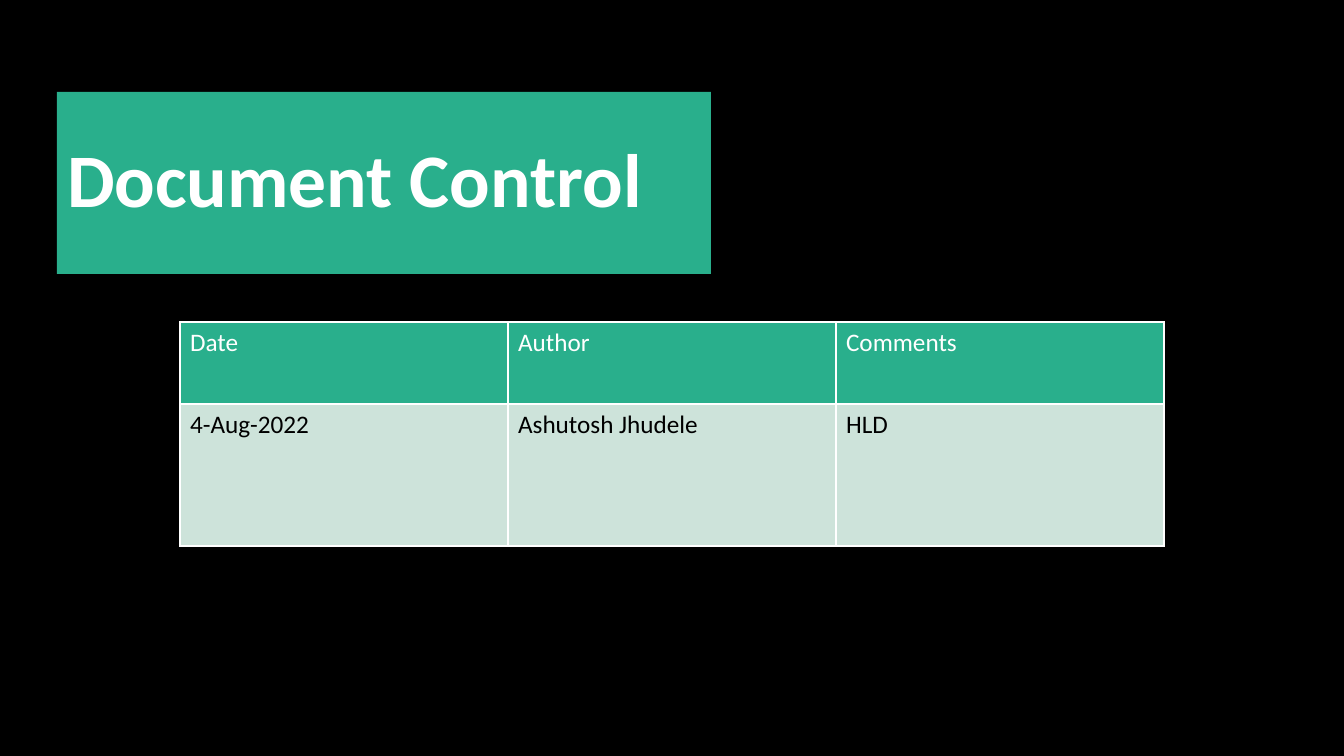
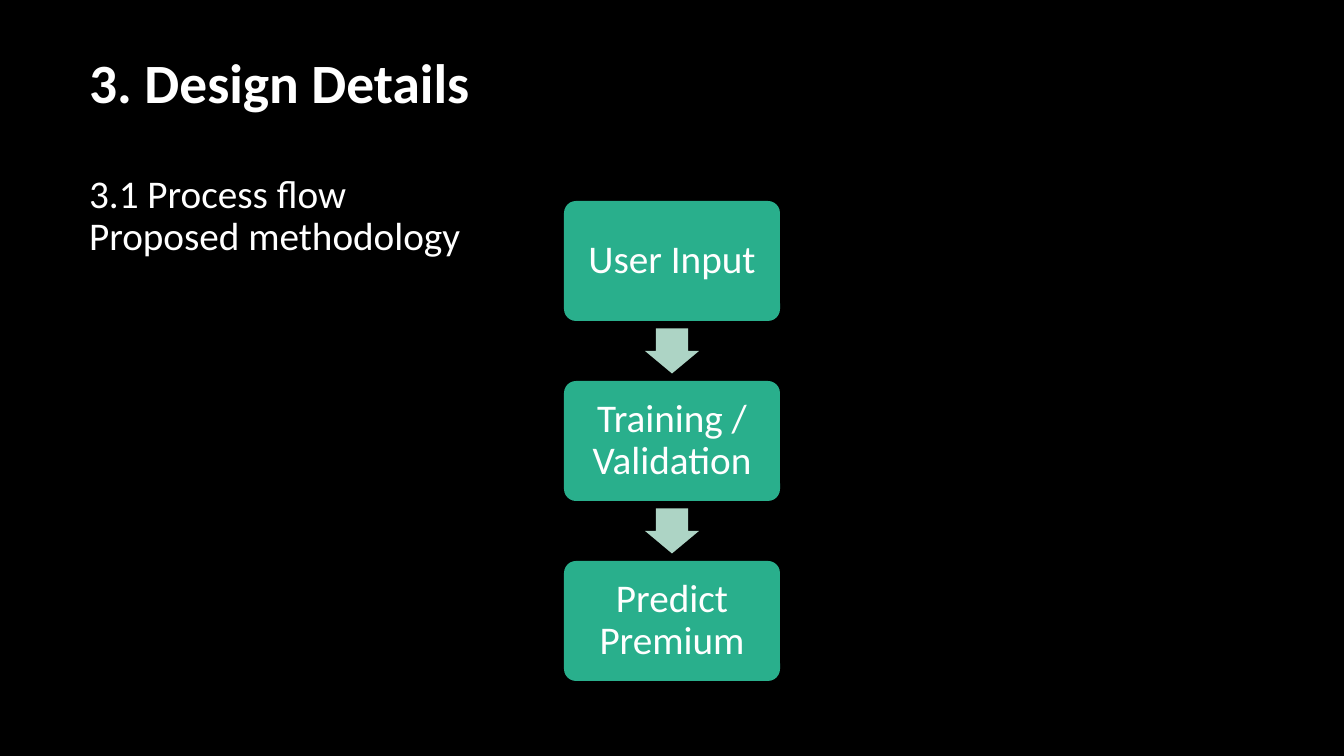
import pptx
import pptx.util
import pptx.dml.color
import pptx.enum.shapes
import pptx.enum.text
import pptx.oxml
import pptx.oxml.ns

SHAPE = pptx.enum.shapes.MSO_SHAPE
ALIGN = pptx.enum.text.PP_ALIGN
ANCHOR = pptx.enum.text.MSO_ANCHOR
PAGE_WIDTH, PAGE_HEIGHT = 1344, 756
SCALE = 12192000 / PAGE_WIDTH
FONT = "Calibri"
BLACK, WHITE = "000000", "FFFFFF"
GREEN, PALE_GREEN, MINT = "29AF8C", "CDE3DA", "ADD4C5"
TITLE_ONLY, TITLE_AND_BODY = 5, 1


def px(length):
    """Turn pixels into EMU."""
    return pptx.util.Emu(round(length * SCALE))


def paint(fill, color):
    """Give a fill one solid colour."""
    fill.solid()
    fill.fore_color.rgb = pptx.dml.color.RGBColor.from_string(color)


def place(shape, box):
    """Move a shape to a box of left, top, width and height."""
    shape.left, shape.top, shape.width, shape.height = map(px, box)


def write(frame, text, size, color=WHITE, bold=False, align=ALIGN.LEFT, spacing=0.9):
    """Set the text of a frame and format its paragraphs and runs."""
    frame.text = text
    for para in frame.paragraphs:
        para.alignment = align
        para.line_spacing = spacing
        para.space_before = pptx.util.Pt(0)
        for span in para.runs:
            span.font.name = FONT
            span.font.size = pptx.util.Pt(size)
            span.font.bold = bold
            paint(span.font.fill, color)


def fill_placeholder(holder, box, text, size, bold=False):
    """Place a text placeholder with its text in the middle of the box."""
    place(holder, box)
    frame = holder.text_frame
    frame.word_wrap = True
    frame.auto_size = pptx.enum.text.MSO_AUTO_SIZE.NONE
    frame.vertical_anchor = ANCHOR.MIDDLE
    write(frame, text, size, bold=bold)


def remove_bullets(frame):
    """Make the paragraphs of a frame plain and flush left."""
    for para in frame.paragraphs:
        properties = para._p.get_or_add_pPr()
        properties.set("marL", "0")
        properties.set("indent", "0")
        properties.append(pptx.oxml.parse_xml(
            f'<a:buNone {pptx.oxml.ns.nsdecls("a")}/>'))


def add_borders(cell, color, width):
    """Draw all four borders of a table cell."""
    properties = cell._tc.get_or_add_tcPr()
    for side in ("lnL", "lnR", "lnT", "lnB"):
        properties.append(pptx.oxml.parse_xml(
            f'<a:{side} {pptx.oxml.ns.nsdecls("a")} w="{pptx.util.Pt(width)}">'
            f'<a:solidFill><a:srgbClr val="{color}"/></a:solidFill></a:{side}>'))


def add_control_table(page, box, rows, heights):
    """Add a table with a green header and equal columns."""
    table = page.shapes.add_table(len(rows), len(rows[0]), *map(px, box)).table
    for column in table.columns:
        column.width = px(box[2] / len(rows[0]))
    for index, (texts, height) in enumerate(zip(rows, heights)):
        table.rows[index].height = px(height)
        fill, color = (PALE_GREEN, BLACK) if index else (GREEN, WHITE)
        for cell, text in zip(table.rows[index].cells, texts):
            add_borders(cell, WHITE, 1)
            paint(cell.fill, fill)
            write(cell.text_frame, text, 18, color, spacing=1.0)


def add_block(page, kind, box, color, adjustments):
    """Add a plain preset shape without line or shadow."""
    block = page.shapes.add_shape(kind, *map(px, box))
    block.shadow.inherit = False
    block.line.fill.background()
    paint(block.fill, color)
    for index, value in enumerate(adjustments):
        block.adjustments[index] = value
    return block


def add_flow(page, box, steps, gap):
    """Stack rounded steps in a box, with a down arrow in each gap."""
    left, top, width, height = box
    step_height = (height - gap * (len(steps) - 1)) / len(steps)
    arrow_width, arrow_height = 54, 45
    for index, text in enumerate(steps):
        step_top = top + index * (step_height + gap)
        if index:
            arrow = (left + (width - arrow_width) / 2,
                     step_top - (gap + arrow_height) / 2, arrow_width, arrow_height)
            add_block(page, SHAPE.DOWN_ARROW, arrow, MINT, (0.6, 0.5))
        step = add_block(page, SHAPE.ROUNDED_RECTANGLE,
                         (left, step_top, width, step_height), GREEN, (0.1,))
        frame = step.text_frame
        frame.word_wrap = True
        frame.vertical_anchor = ANCHOR.MIDDLE
        frame.margin_left = frame.margin_right = px(12)
        frame.margin_top = frame.margin_bottom = px(12)
        write(frame, text, 28, align=ALIGN.CENTER)


def build_control_page(deck):
    """Build the page with the document history."""
    page = deck.slides.add_slide(deck.slide_layouts[TITLE_ONLY])
    title = page.shapes.title
    fill_placeholder(title, (57, 92, 654, 182), "Document Control", 54, bold=True)
    paint(title.fill, GREEN)
    rows = (("Date", "Author", "Comments"),
            ("4-Aug-2022", "Ashutosh Jhudele", "HLD"))
    add_control_table(page, (180, 322, 984, 224), rows, (82, 142))


def build_design_page(deck):
    """Build the page with the process flow."""
    page = deck.slides.add_slide(deck.slide_layouts[TITLE_AND_BODY])
    fill_placeholder(page.shapes.title, (79, 51, 1159, 70),
                     "3. Design Details", 39.6, bold=True)
    body = page.placeholders[1]
    fill_placeholder(body, (79, 169, 460, 96),
                     "3.1 Process flow\nProposed methodology", 28)
    remove_bullets(body.text_frame)
    steps = ("User Input", "Training / Validation", "Predict Premium")
    add_flow(page, (564, 201, 216, 480), steps, 60)


def main():
    """Build and save the deck."""
    deck = pptx.Presentation()
    deck.slide_width, deck.slide_height = px(PAGE_WIDTH), px(PAGE_HEIGHT)
    paint(deck.slide_master.background.fill, BLACK)
    build_control_page(deck)
    build_design_page(deck)
    deck.save("out.pptx")


if __name__ == "__main__":
    main()
